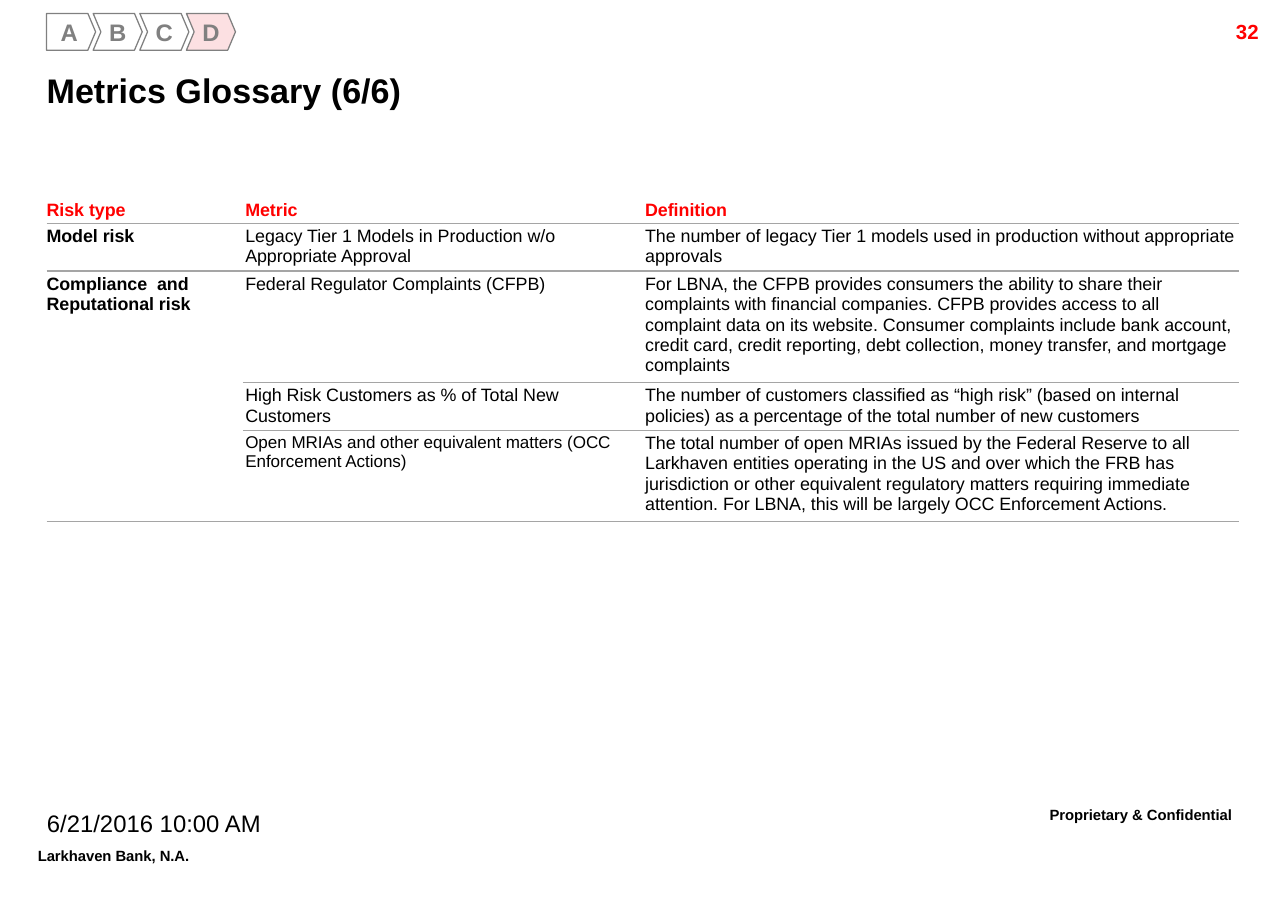
from lxml.etree import SubElement
from pptx import Presentation
from pptx.dml.color import RGBColor
from pptx.enum.shapes import MSO_SHAPE as Preset
from pptx.enum.text import MSO_ANCHOR as Anchor, PP_ALIGN as Align
from pptx.oxml import parse_xml
from pptx.oxml.ns import nsdecls, qn
from pptx.util import Inches, Pt

# The slide is a grid of 105 columns by 75 rows
COLUMNS, ROWS = 105, 75
CELL = Inches(0.1)
LEFT = 3.8
FONT = "Arial"
LINE_PITCH = Pt(12)
PLAIN_TABLE_STYLE = "{2D5ABB26-0587-4C30-8999-92F81FD0307C}"
COLORS = {
    "text": "000000",
    "accent": "FF0000",
    "rule": "A5A5A5",
    "step": "808080",
    "step_fill": "FFFFFF",
    "current_step_fill": "FCE0E2",
}

# Glossary content: risk type, metric, definition
HEADINGS = ("Risk type", "Metric", "Definition")
GLOSSARY = [
    ("Model risk",
     "Legacy Tier 1 Models in Production w/o Appropriate Approval",
     "The number of legacy Tier 1 models used in production without "
     "appropriate approvals"),
    ("Compliance  and Reputational risk",
     "Federal Regulator Complaints (CFPB)",
     "For LBNA, the CFPB provides consumers the ability to share their "
     "complaints with financial companies. CFPB provides access to all "
     "complaint data on its website. Consumer complaints include bank account, "
     "credit card, credit reporting, debt collection, money transfer, and "
     "mortgage complaints"),
    ("",
     "High Risk Customers as % of Total New Customers",
     "The number of customers classified as “high risk” (based on internal "
     "policies) as a percentage of the total number of new customers"),
    ("",
     "Open MRIAs and other equivalent matters (OCC Enforcement Actions)",
     "The total number of open MRIAs issued by the Federal Reserve to all "
     "Larkhaven entities operating in the US and over which the FRB has "
     "jurisdiction or other equivalent regulatory matters requiring immediate "
     "attention. For LBNA, this will be largely OCC Enforcement Actions."),
]
COLUMN_WIDTHS = (16, 32.6, 48.6)
ROW_HEIGHTS = (2.1, 3.9, 9.1, 3.9, 7.4)


def grid(*lengths):
    return [int(length * CELL) for length in lengths]


def color(name):
    return RGBColor.from_string(COLORS[name])


def write(frame, text, size, bold=False, ink="text", align=Align.LEFT, pitch=None):
    paragraph = frame.paragraphs[0]
    paragraph.alignment = align
    if pitch:
        paragraph.line_spacing = pitch
    run = paragraph.add_run()
    run.text = text
    run.font.name = FONT
    run.font.size = Pt(size)
    run.font.bold = bold
    run.font.color.rgb = color(ink)
    return run


def clear_margins(frame):
    frame.margin_left = frame.margin_right = 0
    frame.margin_top = frame.margin_bottom = 0
    frame.vertical_anchor = Anchor.MIDDLE


def add_label(slide, box, text, size, raised=False, **style):
    frame = slide.shapes.add_textbox(*grid(*box)).text_frame
    frame.word_wrap = True
    run = write(frame, text, size, **style)
    if raised:
        run.font._element.set("baseline", "30000")


def add_title(slide, text):
    title = slide.shapes.title
    title.left, title.top, title.width, title.height = grid(LEFT, 4.9, 94.8, 4.8)
    clear_margins(title.text_frame)
    write(title.text_frame, text, 20, bold=True)


def add_step_tracker(slide, letters, current):
    group = slide.shapes.add_group_shape()
    for index, letter in enumerate(letters):
        preset = Preset.CHEVRON if index else Preset.PENTAGON
        box = grid(LEFT + index * 3.8, 1.1, 4, 3)
        step = group.shapes.add_shape(preset, *box)
        step.adjustments[0] = 0.21
        step.shadow.inherit = False
        step.fill.solid()
        step.fill.fore_color.rgb = color(
            "current_step_fill" if letter == current else "step_fill")
        step.line.color.rgb = color("step")
        step.line.width = Pt(0.75)
        clear_margins(step.text_frame)
        write(step.text_frame, letter, 14, bold=True, ink="step", align=Align.CENTER)


def rule_below(cell):
    border = parse_xml(f'<a:lnB {nsdecls("a")} w="{Pt(0.75)}"/>')
    fill = SubElement(border, qn("a:solidFill"))
    SubElement(fill, qn("a:srgbClr")).set("val", COLORS["rule"])
    cell._tc.get_or_add_tcPr().insert(0, border)


def add_glossary(slide):
    box = grid(LEFT, 16.1, sum(COLUMN_WIDTHS), sum(ROW_HEIGHTS))
    graphic = slide.shapes.add_table(len(ROW_HEIGHTS), len(COLUMN_WIDTHS), *box)
    table = graphic.table
    table.first_row = table.horz_banding = False
    table._tbl.tblPr.find(qn("a:tableStyleId")).text = PLAIN_TABLE_STYLE
    for column, width in zip(table.columns, grid(*COLUMN_WIDTHS)):
        column.width = width
    for row, height in zip(table.rows, grid(*ROW_HEIGHTS)):
        row.height = height

    last = len(GLOSSARY)
    for row, texts in enumerate([HEADINGS, *GLOSSARY]):
        for column, text in enumerate(texts):
            cell = table.cell(row, column)
            cell.fill.background()
            cell.margin_left = Inches(0.02 if column else 0)
            cell.margin_right = cell.margin_top = cell.margin_bottom = Inches(0.02)
            cell.vertical_anchor = Anchor.TOP if row else Anchor.MIDDLE
            if column or row != last - 1:
                rule_below(cell)
            if text:
                small = row == last and column == 1
                write(cell.text_frame, text, 10 if small else 10.5,
                      bold=row == 0 or column == 0,
                      ink="text" if row else "accent",
                      pitch=None if small else LINE_PITCH)
    # The second risk type covers the last three rows
    table.cell(2, 0).merge(table.cell(last, 0))


def main():
    presentation = Presentation()
    presentation.slide_width, presentation.slide_height = grid(COLUMNS, ROWS)
    slide = presentation.slides.add_slide(presentation.slide_layouts[5])

    # Footer and page number
    add_label(slide, (2.1, 69.1, 16.8, 3.2), "Larkhaven Bank, N.A.", 15,
              raised=True, bold=True, pitch=LINE_PITCH)
    add_label(slide, (0.5, 66.1, 24.1, 3.4), "6/21/2016 10:00 AM", 14,
              align=Align.CENTER, pitch=LINE_PITCH)
    add_label(slide, (82.1, 65.8, 21.8, 3.5), "Proprietary & Confidential", 15,
              raised=True, bold=True, align=Align.CENTER, pitch=LINE_PITCH)
    add_label(slide, (93.6, 1.1, 10, 2.4), "32", 12,
              bold=True, ink="accent", align=Align.RIGHT)

    # Heading and glossary
    add_glossary(slide)
    add_title(slide, "Metrics Glossary (6/6)")
    add_step_tracker(slide, "ABCD", current="D")

    presentation.save("out.pptx")


if __name__ == "__main__":
    main()
